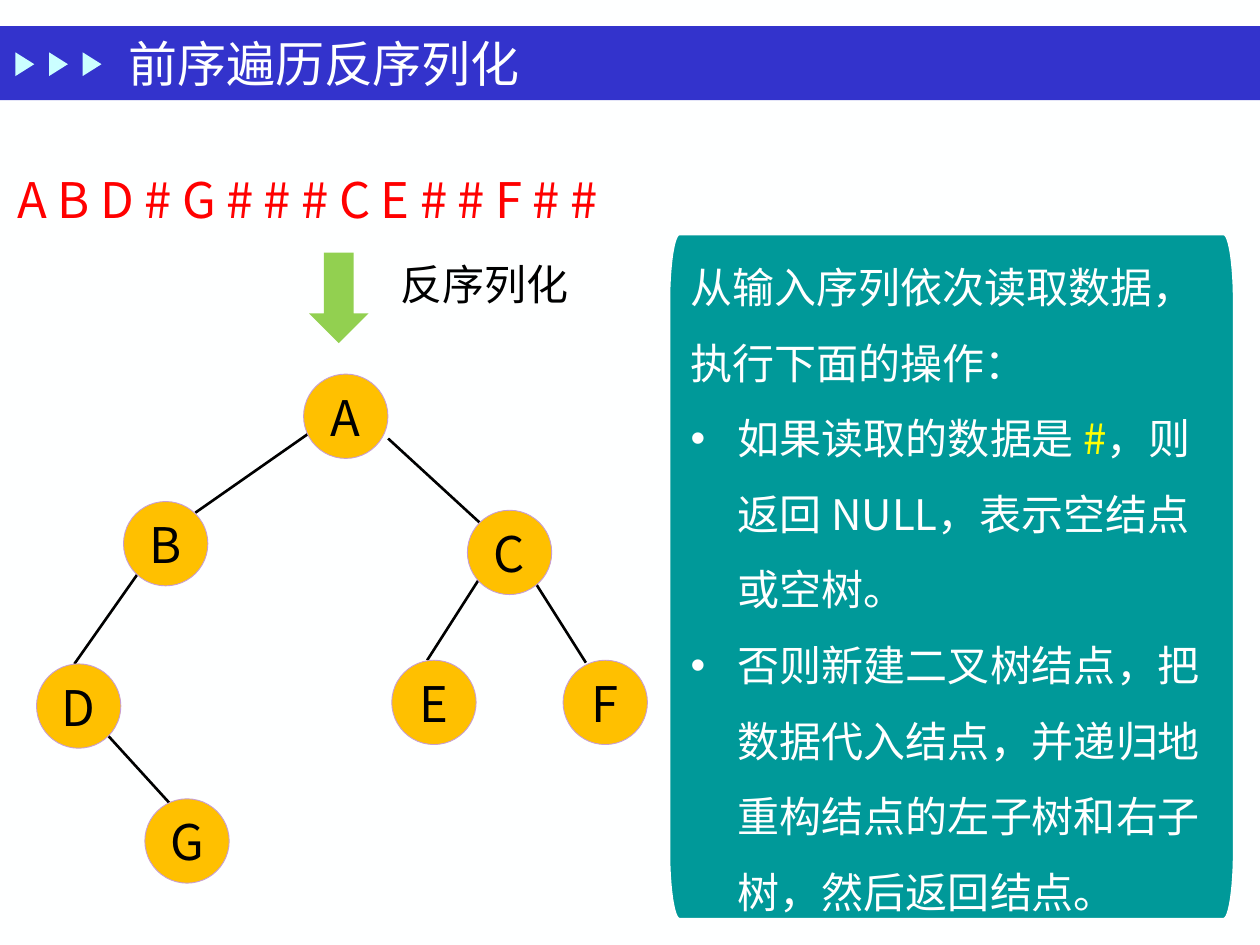
from dataclasses import dataclass
from math import cos, pi, sin

from lxml import etree
from pptx import Presentation
from pptx import util as u
from pptx.dml.color import RGBColor
from pptx.enum import shapes, text
from pptx.oxml import ns

Pt = u.Pt
WHITE = RGBColor(0xFE, 0xFF, 0xFF)
PURE_WHITE = RGBColor(0xFF, 0xFF, 0xFF)
BLACK = RGBColor(0, 0, 0)
BLUE = RGBColor(0x33, 0x33, 0xCC)
PALE_CYAN = RGBColor(0xCB, 0xFF, 0xFF)
RED = RGBColor(0xFF, 0, 0)
AMBER = RGBColor(0xFF, 0xC0, 0)
LILAC = RGBColor(0xC7, 0x9E, 0xD3)
GREEN = RGBColor(0x92, 0xD0, 0x50)
TEAL = RGBColor(0, 0x99, 0x99)
YELLOW = RGBColor(0xFF, 0xFF, 0)

SANS = "Noto Sans CJK SC"
SERIF = "Times New Roman"
NODE_SIZE = 48.2


@dataclass(frozen=True)
class Box:
    left: float
    top: float
    width: float
    height: float

    def lengths(self) -> tuple:
        return Pt(self.left), Pt(self.top), Pt(self.width), Pt(self.height)


@dataclass(frozen=True)
class Node:
    label: str
    left: float
    top: float


@dataclass(frozen=True)
class Edge:
    x1: float
    y1: float
    x2: float
    y2: float


@dataclass(frozen=True)
class Line:
    """One paragraph: (text, colour) pieces, with or without a bullet."""
    pieces: tuple
    bullet: bool = False


NODES = (
    Node("A", 173.5, 213.8), Node("B", 70.6, 286.6), Node("C", 267.1, 291.6),
    Node("E", 223.9, 377.3), Node("F", 321.8, 377.3),
    Node("D", 20.9, 379.4), Node("G", 82.8, 456.5),
)
EDGES = (
    Edge(176.4, 247.7, 111.6, 293), Edge(221.8, 250.6, 274.3, 298.8),
    Edge(85, 319, 42.5, 379.4), Edge(275, 329, 244.1, 377.3),
    Edge(300.2, 324, 334.8, 378.7), Edge(53.3, 411.1, 98.6, 460.8),
)
STEPS = (
    Line((("从输入序列依次读取数据，执行下面的操作：", PURE_WHITE),)),
    Line((("如果读取的数据是 ", PURE_WHITE), ("#", YELLOW),
          ("，则返回 NULL，表示空结点或空树。", PURE_WHITE)), bullet=True),
    Line((("否则新建二叉树结点，把数据代入结点，并递归地重构结点的左子树和右子树，然后返回结点。",
           PURE_WHITE),), bullet=True),
)


def set_format(target, values: dict) -> None:
    for name, value in values.items():
        setattr(target, name, value)


def add_run(paragraph, content: str, size: float, color: RGBColor, font=SANS, spacing=0) -> None:
    run = paragraph.add_run()
    run.text = content
    set_format(run.font, {"size": Pt(size), "name": font})
    run.font.color.rgb = color
    properties = run.font._element
    etree.SubElement(properties, ns.qn("a:ea")).set("typeface", SANS)
    if spacing:
        properties.set("spc", str(spacing * 100))


def add_bullet(paragraph, indent: float) -> None:
    properties = paragraph._p.get_or_add_pPr()
    properties.set("marL", str(Pt(indent)))
    properties.set("indent", str(-Pt(indent)))
    etree.SubElement(properties, ns.qn("a:buFont")).set("typeface", "Arial")
    etree.SubElement(properties, ns.qn("a:buChar")).set("char", "•")


def paint(shape, fill: RGBColor, line=None, width=0) -> None:
    shape.shadow.inherit = False
    shape.fill.solid()
    shape.fill.fore_color.rgb = fill
    if line is None:
        shape.line.fill.background()
    else:
        shape.line.color.rgb = line
        shape.line.width = Pt(width)


def add_preset(slide, kind, box: Box, fill: RGBColor, line=None, width=0):
    shape = slide.shapes.add_shape(kind, *box.lengths())
    paint(shape, fill, line, width)
    return shape


def add_label(slide, box: Box, content: str, frame_format: dict, **run_format) -> None:
    frame = slide.shapes.add_textbox(*box.lengths()).text_frame
    set_format(frame, {"word_wrap": True, **frame_format})
    add_run(frame.paragraphs[0], content, **run_format)


def add_edge(slide, edge: Edge) -> None:
    connector = slide.shapes.add_connector(
        shapes.MSO_CONNECTOR.STRAIGHT,
        Pt(edge.x1), Pt(edge.y1), Pt(edge.x2), Pt(edge.y2))
    connector.line.color.rgb = BLACK
    connector.line.width = Pt(1.5)
    etree.SubElement(connector._element.spPr, ns.qn("a:effectLst"))


def add_node(slide, node: Node) -> None:
    shape = add_preset(slide, shapes.MSO_SHAPE.OVAL,
                       Box(node.left, node.top, NODE_SIZE, NODE_SIZE), AMBER, LILAC, 0.5)
    frame = shape.text_frame
    set_format(frame, {"margin_left": 0, "margin_top": 0, "margin_right": 0,
                       "margin_bottom": 0, "vertical_anchor": text.MSO_ANCHOR.BOTTOM})
    paragraph = frame.paragraphs[0]
    set_format(paragraph, {"alignment": text.PP_ALIGN.CENTER, "line_spacing": Pt(20)})
    add_run(paragraph, node.label, 28, BLACK)


def rounded_outline(box: Box, radius_x: float, radius_y: float, steps=12) -> list:
    """Points of a rectangle with elliptical corners, clockwise from the left side."""
    right, bottom = box.left + box.width, box.top + box.height
    centres = ((box.left + radius_x, box.top + radius_y),
               (right - radius_x, box.top + radius_y),
               (right - radius_x, bottom - radius_y),
               (box.left + radius_x, bottom - radius_y))
    points = []
    for corner, (x, y) in enumerate(centres):
        for step in range(steps + 1):
            angle = pi + (corner + step / steps) * pi / 2
            points.append((Pt(x + radius_x * cos(angle)), Pt(y + radius_y * sin(angle))))
    return points


def add_panel(slide, box: Box, lines: tuple) -> None:
    start, *others = rounded_outline(box, 5.8, 39)
    builder = slide.shapes.build_freeform(*start)
    builder.add_line_segments(others, close=True)
    panel = builder.convert_to_shape()
    paint(panel, TEAL, PURE_WHITE, 1)
    frame = panel.text_frame
    inset = Pt(12.2)
    set_format(frame, {"word_wrap": True, "vertical_anchor": text.MSO_ANCHOR.MIDDLE,
                       "margin_left": inset, "margin_top": inset,
                       "margin_right": inset, "margin_bottom": inset})
    for index, line in enumerate(lines):
        paragraph = frame.add_paragraph() if index else frame.paragraphs[0]
        if line.bullet:
            add_bullet(paragraph, 27)
        set_format(paragraph, {"alignment": text.PP_ALIGN.LEFT, "line_spacing": 1.5})
        for content, color in line.pieces:
            add_run(paragraph, content, 24, color)


def main() -> None:
    presentation = Presentation()
    set_format(presentation, {"slide_width": Pt(720), "slide_height": Pt(540)})
    slide = presentation.slides.add_slide(presentation.slide_layouts[6])
    slide.background.fill.solid()
    slide.background.fill.fore_color.rgb = WHITE

    add_preset(slide, shapes.MSO_SHAPE.RECTANGLE, Box(0, 15, 720, 42.3), BLUE)
    for index in range(3):
        marker = add_preset(slide, shapes.MSO_SHAPE.ISOSCELES_TRIANGLE,
                            Box(7.4 + 19.2 * index, 31.3, 13.6, 10.8), PALE_CYAN)
        marker.rotation = 90
    add_label(slide, Box(66.3, 15, 504, 42), "前序遍历反序列化",
              {"vertical_anchor": text.MSO_ANCHOR.MIDDLE}, size=28, color=WHITE, font=SERIF)

    growing = {"auto_size": text.MSO_AUTO_SIZE.SHAPE_TO_FIT_TEXT}
    add_label(slide, Box(3, 93.6, 385, 41), "ABD#G###CE##F##", growing,
              size=28, color=RED, spacing=6)
    for edge in EDGES:
        add_edge(slide, edge)
    for node in NODES:
        add_node(slide, node)
    add_label(slide, Box(221.8, 144, 116, 36), "反序列化", growing, size=24, color=BLACK)
    add_preset(slide, shapes.MSO_SHAPE.DOWN_ARROW, Box(176.6, 144.3, 34, 51.8), GREEN)
    add_panel(slide, Box(382.5, 134, 322.5, 391), STEPS)
    presentation.save("out.pptx")


if __name__ == "__main__":
    main()
